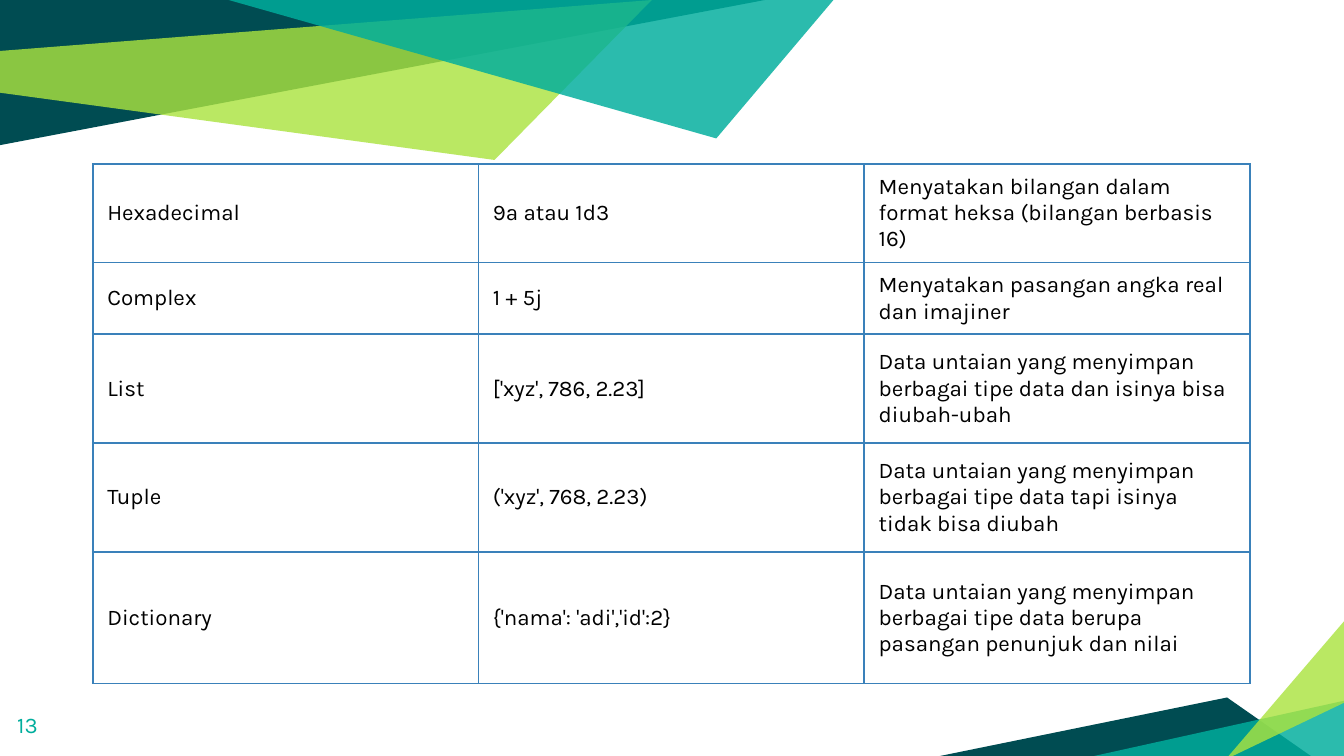
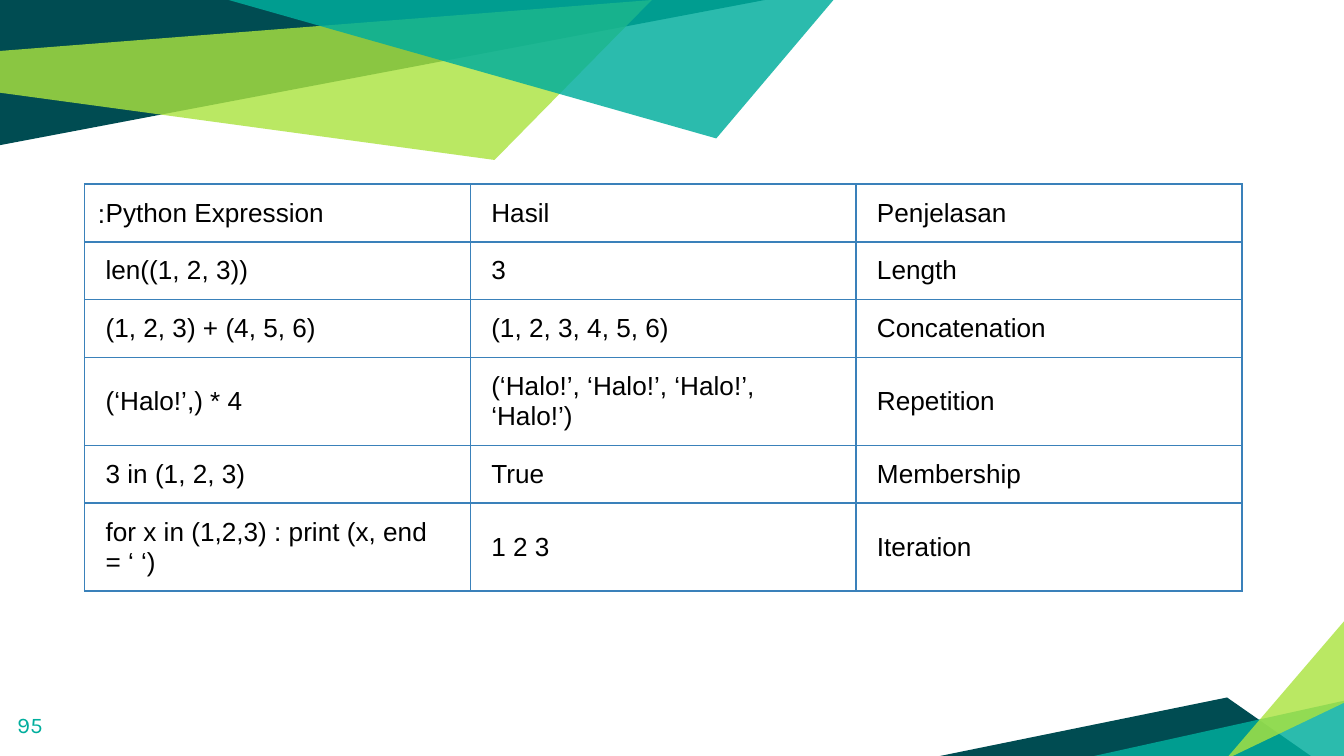
import pptx
import pptx.dml.color
import pptx.enum.text
import pptx.oxml.ns
import pptx.util
from dataclasses import dataclass
from lxml import etree

Inches = pptx.util.Inches
Pt = pptx.util.Pt
qn = pptx.oxml.ns.qn


@dataclass(frozen=True)
class Theme:
    dark: str = "004C52"
    lime: str = "ABE33F"
    teal: str = "00AE9D"
    text: str = "000000"
    border: str = "3A81BA"
    border_points: float = 1
    body_font: str = "Karla"
    plain_font: str = "Arial"
    small: int = 12
    medium: int = 14


THEME = Theme()

# Content; cell margins are in points, other lengths in inches
DATA_TYPES = [
    ("Hexadecimal", "9a atau 1d3",
     "Menyatakan bilangan dalam format heksa (bilangan berbasis 16)"),
    ("Complex", "1 + 5j", "Menyatakan pasangan angka real dan imajiner"),
    ("List", "['xyz', 786, 2.23]",
     "Data untaian yang menyimpan berbagai tipe data dan isinya bisa diubah-ubah"),
    ("Tuple", "('xyz', 768, 2.23)",
     "Data untaian yang menyimpan berbagai tipe data tapi isinya tidak bisa diubah"),
    ("Dictionary", "{'nama': 'adi','id':2}",
     "Data untaian yang menyimpan berbagai tipe data berupa pasangan penunjuk dan nilai"),
]
TUPLE_OPERATIONS = [
    ("Python Expression", "Hasil", "Penjelasan"),
    ("len((1, 2, 3))", "3", "Length"),
    ("(1, 2, 3) + (4, 5, 6)", "(1, 2, 3, 4, 5, 6)", "Concatenation"),
    ("(‘Halo!’,) * 4", "(‘Halo!’, ‘Halo!’, ‘Halo!’, ‘Halo!’)", "Repetition"),
    ("3 in (1, 2, 3)", "True", "Membership"),
    ("for x in (1,2,3) : print (x, end = ‘ ‘)", "1 2 3", "Iteration"),
]
PAGES = [
    dict(number="13", rows=DATA_TYPES, at=(0.69, 1.22),
         heights=(0.72, 0.53, 0.81, 0.81, 0.98), margins=(7.8, 4.8),
         font=(THEME.body_font, THEME.small)),
    dict(number="95", note=":", rows=TUPLE_OPERATIONS, at=(0.63, 1.37),
         heights=(0.43, 0.43, 0.43, 0.65, 0.43, 0.65), margins=(11.25, 6.75),
         font=(THEME.plain_font, THEME.medium)),
]
COLUMN_WIDTH = 2.87
TEXT_MARGIN = Inches(0.1)

# Corner facets from back to front: colour, opacity in percent, corners
FACETS = [
    (THEME.dark, 100, [(0, 0), (0, 1.08), (5.69, 0)]),
    (THEME.lime, 81, [(-0.01, 0.38), (0, 0.69), (3.68, 1.19), (4.85, 0)]),
    (THEME.dark, 100, [(6.97, 5.63), (9.76, 5.63), (9.13, 5.19)]),
    (THEME.teal, 83, [(10.02, 5.21), (10.02, 5.65), (8.03, 5.65)]),
    (THEME.lime, 81, [(10.02, 5.22), (10.02, 4.6), (9.12, 5.65)]),
    (THEME.teal, 83, [(1.7, 0), (5.33, 1.03), (6.21, -0.01), (6.09, 0)]),
]


def rgb(color):
    return pptx.dml.color.RGBColor.from_string(color)


def set_margins(holder, side, end):
    holder.margin_left = holder.margin_right = side
    holder.margin_top = holder.margin_bottom = end


def set_text(frame, text, font, color):
    para = frame.paragraphs[0]
    para.text = text
    para.font.name, para.font.size = font[0], Pt(font[1])
    para.font.color.rgb = rgb(color)


def add_text(page, at, text, font, color):
    frame = page.shapes.add_textbox(*map(Inches, at)).text_frame
    frame.word_wrap = True
    set_margins(frame, TEXT_MARGIN, TEXT_MARGIN)
    set_text(frame, text, font, color)


def add_facet(page, color, opacity, corners):
    points = [(Inches(x), Inches(y)) for x, y in corners]
    builder = page.shapes.build_freeform(*points[0], scale=1.0)
    builder.add_line_segments(points[1:], close=True)
    facet = builder.convert_to_shape()
    facet.shadow.inherit = False
    facet.line.fill.background()
    facet.fill.solid()
    facet.fill.fore_color.rgb = rgb(color)
    if opacity < 100:
        fill_color = facet._element.spPr.find(qn("a:solidFill")).find(qn("a:srgbClr"))
        etree.SubElement(fill_color, qn("a:alpha"), val=str(opacity * 1000))


def add_borders(cell):
    properties = cell._tc.get_or_add_tcPr()
    for side in ("a:lnL", "a:lnR", "a:lnT", "a:lnB"):
        line = etree.SubElement(properties, qn(side), w=str(Pt(THEME.border_points)))
        fill = etree.SubElement(line, qn("a:solidFill"))
        etree.SubElement(fill, qn("a:srgbClr"), val=THEME.border)


def add_grid(page, rows, at, heights, margins, font):
    columns = len(rows[0])
    size = (COLUMN_WIDTH * columns, sum(heights))
    table = page.shapes.add_table(len(rows), columns, *map(Inches, at + size)).table
    table.first_row = table.horz_banding = False
    for column in table.columns:
        column.width = Inches(COLUMN_WIDTH)
    for row, height, texts in zip(table.rows, heights, rows):
        row.height = Inches(height)
        for cell, text in zip(row.cells, texts):
            set_text(cell.text_frame, text, font, THEME.text)
            set_margins(cell, *map(Pt, margins))
            cell.vertical_anchor = pptx.enum.text.MSO_ANCHOR.MIDDLE
            add_borders(cell)
            cell.fill.background()


def add_page(deck, number, note=None, **grid):
    page = deck.slides.add_slide(deck.slide_layouts[6])
    for facet in FACETS:
        add_facet(page, *facet)
    add_text(page, (0.03, 5.19, 0.6, 0.43), number,
             (THEME.body_font, THEME.small), THEME.teal)
    if note:
        add_text(page, grid["at"] + (8.4, 3.82), note, grid["font"], THEME.text)
    add_grid(page, **grid)


def main():
    deck = pptx.Presentation()
    deck.slide_width = Inches(10)
    deck.slide_height = deck.slide_width * 9 // 16
    for content in PAGES:
        add_page(deck, **content)
    deck.save("out.pptx")


if __name__ == "__main__":
    main()
